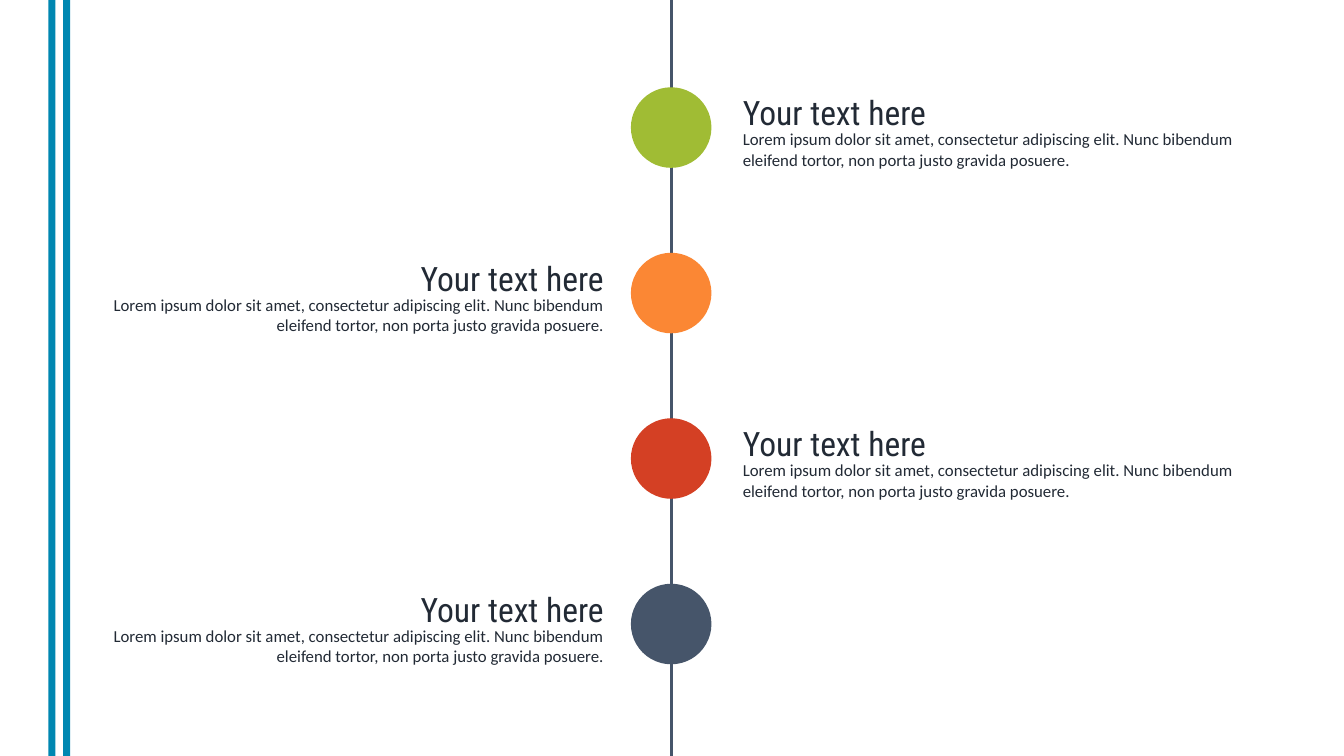
from lxml import etree
from pptx import Presentation
from pptx.dml.color import RGBColor
from pptx.enum.shapes import MSO_CONNECTOR, MSO_SHAPE
from pptx.enum.text import MSO_AUTO_SIZE, PP_ALIGN
from pptx.oxml.ns import qn
from pptx.util import Cm, Pt

STRAIGHT = MSO_CONNECTOR.STRAIGHT
RECT, OVAL = MSO_SHAPE.RECTANGLE, MSO_SHAPE.OVAL
GROW = MSO_AUTO_SIZE.SHAPE_TO_FIT_TEXT
LEFT, RIGHT = PP_ALIGN.LEFT, PP_ALIGN.RIGHT

TEAL = RGBColor(0x00, 0x87, 0xB1)
GREEN = RGBColor(0xA0, 0xBC, 0x34)
ORANGE = RGBColor(0xFB, 0x87, 0x34)
RED = RGBColor(0xD4, 0x40, 0x24)
SLATE = RGBColor(0x46, 0x55, 0x6A)
INK = RGBColor(0x22, 0x2A, 0x35)

WIDTH, HEIGHT = Cm(33.87), Cm(19.05)
DOT = Cm(2.03)
PITCH = Cm(4.17)
HEAD = "Your text here"
BODY = ("Lorem ipsum dolor sit amet, consectetur adipiscing elit. "
        "Nunc bibendum eleifend tortor, non porta justo gravida posuere.")


def add_solid(slide, kind, box, color):
    """Draw a plain filled shape without an outline."""
    shape = slide.shapes.add_shape(kind, *box)
    shape.shadow.inherit = False
    shape.fill.solid()
    shape.fill.fore_color.rgb = color
    shape.line.fill.background()


def add_text(slide, box, text, font, size, align):
    """Write one wrapped paragraph in a text box."""
    shape = slide.shapes.add_textbox(*box)
    frame = shape.text_frame
    frame.word_wrap = True
    frame.auto_size = GROW
    para = frame.paragraphs[0]
    para.text = text
    para.alignment = align
    para.font.name = font
    para.font.size = Pt(size)
    para.font.color.rgb = INK


def add_stripes(slide, left, top, height):
    """Draw the pair of upright stripes."""
    for step in range(2):
        box = (left + step * Cm(0.37), top, Cm(0.18), height)
        add_solid(slide, RECT, box, TEAL)


def add_axis(slide, x, top, height):
    """Draw the upright line of the timeline."""
    line = slide.shapes.add_connector(STRAIGHT, x, top, x, top + height)
    line.line.color.rgb = SLATE
    line.line.width = Pt(2)
    etree.SubElement(line._element.spPr, qn("a:effectLst"))


def add_event(slide, left, top, width, color, align):
    """Place a dot mid-row and its text on one side of it."""
    span = Cm(13.67)
    x = left if align == RIGHT else left + width - span
    add_text(slide, (x, top + Cm(0.93), span, Cm(1.28)), BODY, "Calibri", 12, align)
    add_text(slide, (x, top, span, Cm(1.28)), HEAD, "Roboto Condensed", 24, align)
    add_solid(slide, OVAL, (left + Cm(14.1), top, DOT, DOT), color)


def add_timeline(slide, left, top, width):
    """Stack the events, alternating right and left of the axis."""
    for row, color in enumerate((GREEN, ORANGE, RED, SLATE)):
        align = RIGHT if row % 2 else LEFT
        add_event(slide, left, top + row * PITCH, width, color, align)


def main():
    """Build and save the slide."""
    deck = Presentation()
    deck.slide_width, deck.slide_height = WIDTH, HEIGHT
    slide = deck.slides.add_slide(deck.slide_layouts[6])
    add_stripes(slide, Cm(1.22), 0, HEIGHT)
    add_axis(slide, Cm(16.93), 0, HEIGHT)
    add_timeline(slide, Cm(1.8), Cm(2.2), Cm(30.34))
    deck.save("out.pptx")


if __name__ == "__main__":
    main()
